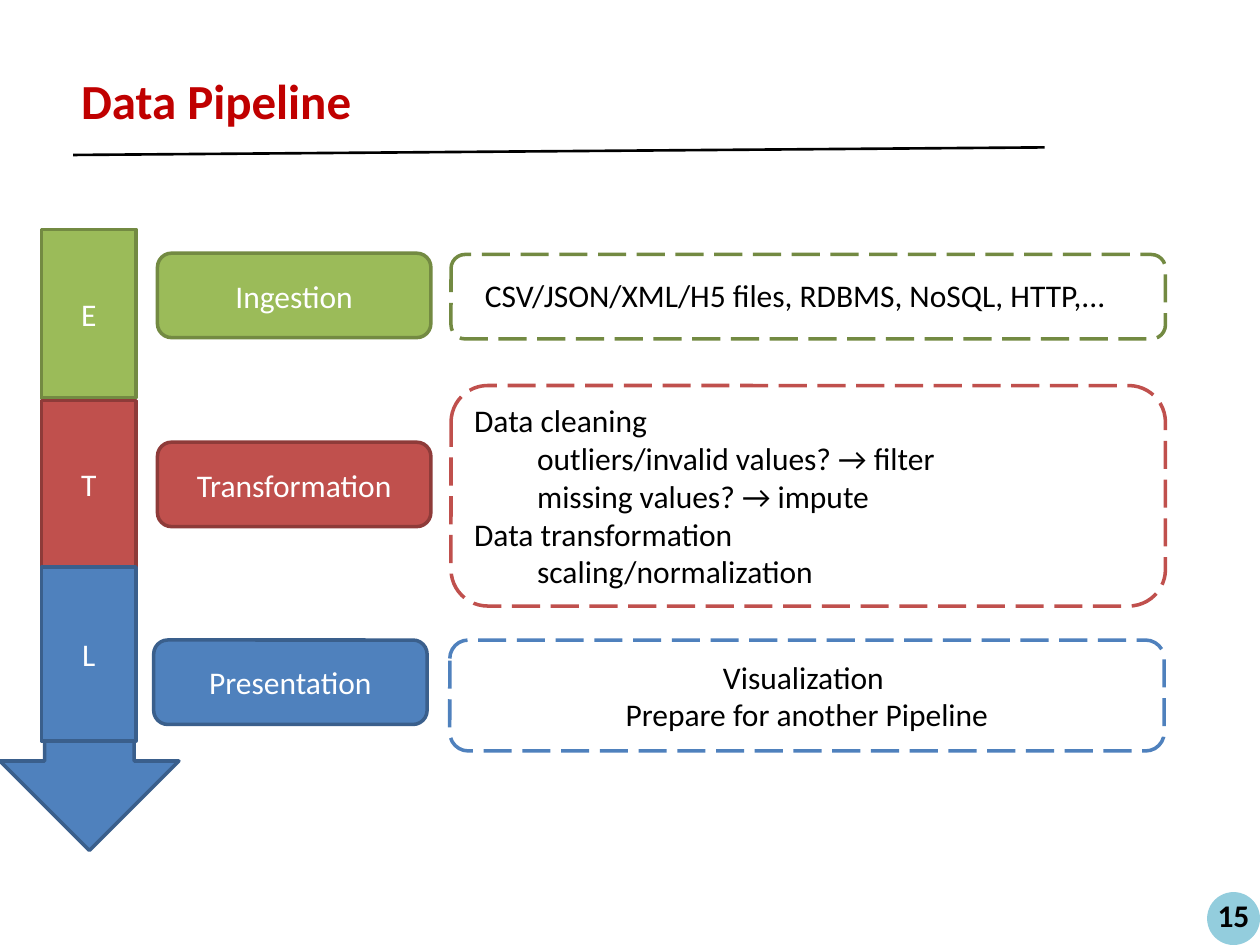
import pptx
import pptx.util
import pptx.dml.color
import pptx.enum.dml
import pptx.enum.shapes
import pptx.enum.text
import pptx.oxml.ns
import lxml.etree
from dataclasses import dataclass

Inches = pptx.util.Inches
Shape = pptx.enum.shapes.MSO_SHAPE
Align = pptx.enum.text.PP_ALIGN
Anchor = pptx.enum.text.MSO_ANCHOR


@dataclass(frozen=True)
class Theme:
    font: str = "Calibri"
    title_size: int = 28
    body_size: int = 18
    outline: float = 2
    rule: float = 1.5
    title: str = "C00000"
    ink: str = "000000"
    paper: str = "FFFFFF"
    badge: str = "93CDDD"
    green: str = "9BBB59"
    green_edge: str = "738A42"
    red: str = "C0504D"
    red_edge: str = "8E3B39"
    blue: str = "4F81BD"
    blue_edge: str = "3A5F8C"


def rgb(value):
    return pptx.dml.color.RGBColor.from_string(value)


class Deck:
    def __init__(self, theme):
        self.theme = theme
        self.presentation = pptx.Presentation()
        self.presentation.slide_width = Inches(10)
        self.presentation.slide_height = Inches(7.5)
        layout = self.presentation.slide_layouts.get_by_name("Title Only")
        self.slide = self.presentation.slides.add_slide(layout)

    def set_lines(self, frame, lines, color, size=None, bold=False, align=Align.CENTER):
        """Fill a text frame; each line is a (text, level) pair."""
        frame.word_wrap = True
        for index, (text, level) in enumerate(lines):
            paragraph = frame.paragraphs[0] if index == 0 else frame.add_paragraph()
            paragraph.text = text
            paragraph.level = level
            paragraph.alignment = align
            paragraph.font.name = self.theme.font
            paragraph.font.size = pptx.util.Pt(size or self.theme.body_size)
            paragraph.font.bold = bold
            paragraph.font.color.rgb = rgb(color)

    def title(self, text, *box):
        heading = self.slide.shapes.title
        heading.left, heading.top, heading.width, heading.height = map(Inches, box)
        frame = heading.text_frame
        frame.auto_size = pptx.enum.text.MSO_AUTO_SIZE.NONE
        frame.vertical_anchor = Anchor.MIDDLE
        self.set_lines(frame, [(text, 0)], self.theme.title, self.theme.title_size, True)

    def rule(self, *ends):
        line = self.slide.shapes.add_connector(
            pptx.enum.shapes.MSO_CONNECTOR.STRAIGHT, *map(Inches, ends))
        line.line.color.rgb = rgb(self.theme.ink)
        line.line.width = pptx.util.Pt(self.theme.rule)
        properties = line._element.find(pptx.oxml.ns.qn("p:spPr"))
        lxml.etree.SubElement(properties, pptx.oxml.ns.qn("a:effectLst"))

    def shape(self, kind, box, fill=None, edge=None, dashed=False, lines=(),
              color=None, align=Align.CENTER):
        item = self.slide.shapes.add_shape(kind, *map(Inches, box))
        item.shadow.inherit = False
        if fill:
            item.fill.solid()
            item.fill.fore_color.rgb = rgb(fill)
        else:
            item.fill.background()
        if edge:
            item.line.color.rgb = rgb(edge)
            item.line.width = pptx.util.Pt(self.theme.outline)
        else:
            item.line.fill.background()
        if dashed:
            item.line.dash_style = pptx.enum.dml.MSO_LINE.LONG_DASH
        item.text_frame.vertical_anchor = Anchor.MIDDLE
        self.set_lines(item.text_frame, lines, color or self.theme.paper, align=align)

    def text(self, line, box, bold=False, align=Align.LEFT):
        label = self.slide.shapes.add_textbox(*map(Inches, box))
        self.set_lines(label.text_frame, [line], self.theme.ink, bold=bold, align=align)


def main():
    theme = Theme()
    deck = Deck(theme)

    # Heading
    deck.title("Data Pipeline", 0.09, 0.37, 3.25, 0.84)
    deck.rule(0.58, 1.23, 8.29, 1.17)

    # Arrow behind the E, T and L blocks
    deck.shape(Shape.DOWN_ARROW, (0, 1.83, 1.42, 4.92), theme.blue, theme.blue_edge)

    # Stages: letter, top, height; step name, left, top; colours
    stages = [
        ("E", 1.82, 1.34, "Ingestion", 1.25, 2.01, theme.green, theme.green_edge),
        ("T", 3.18, 1.32, "Transformation", 1.25, 3.51, theme.red, theme.red_edge),
        ("L", 4.5, 1.38, "Presentation", 1.22, 5.08, theme.blue, theme.blue_edge),
    ]
    for letter, top, height, step, step_left, step_top, fill, edge in stages:
        deck.shape(Shape.RECTANGLE, (0.33, top, 0.75, height), fill, edge,
                   lines=[(letter, 0)])
        deck.shape(Shape.ROUNDED_RECTANGLE, (step_left, step_top, 2.17, 0.67),
                   fill, edge, lines=[(step, 0)])

    # Dashed detail panels
    cleaning = [
        ("Data cleaning", 0),
        ("outliers/invalid values? → filter", 1),
        ("missing values? → impute", 1),
        ("Data transformation", 0),
        ("scaling/normalization", 1),
    ]
    delivery = [("Visualization ", 0), ("Prepare for another Pipeline", 0)]
    panels = [
        ((3.58, 2.02, 5.67, 0.67), None, theme.green_edge, [], Align.CENTER),
        ((3.58, 3.06, 5.67, 1.75), theme.paper, theme.red, cleaning, Align.LEFT),
        ((3.57, 5.08, 5.67, 0.88), theme.paper, theme.blue, delivery, Align.CENTER),
    ]
    for box, fill, edge, lines, align in panels:
        deck.shape(Shape.ROUNDED_RECTANGLE, box, fill, edge, True, lines,
                   theme.ink, align)
    deck.text(("CSV/JSON/XML/H5 files, RDBMS, NoSQL, HTTP,...", 1),
              (3.25, 2.14, 5.75, 0.4))

    # Page number
    deck.shape(Shape.OVAL, (9.58, 7.08, 0.42, 0.42), theme.badge)
    deck.text(("15", 0), (9.54, 7.06, 0.5, 0.4), bold=True, align=Align.CENTER)

    deck.presentation.save("out.pptx")


if __name__ == "__main__":
    main()
